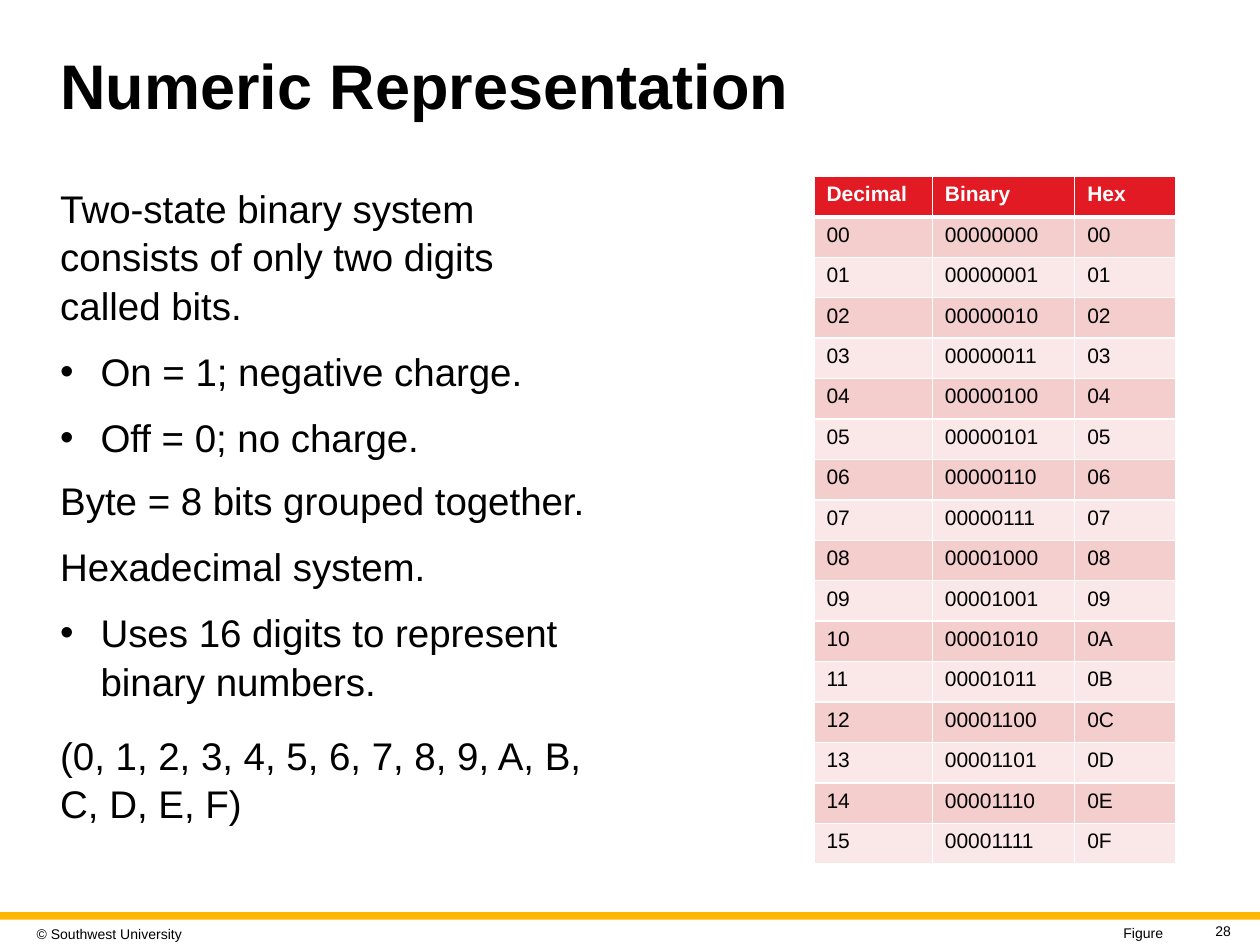
from lxml import etree
from pptx import Presentation
from pptx import util as u
from pptx.dml.color import RGBColor
from pptx.enum import shapes, text
from pptx.oxml.ns import qn

WIDTH, HEIGHT = 10, 7.5
LEFT, TOP, BODY_WIDTH = 0.38, 1.4, 4.46
BLACK, WHITE, RED, GOLD = "000000", "FFFFFF", "E21A23", "FFB600"
BANDS = ("F4CDCD", "FAE8E8")
COLUMN_WIDTHS = (0.94, 1.13, 0.8)
TABLE_HEIGHT = 5.46
BULLET_INDENT = 0.32
BODY_BLOCKS = [
    (1.4, 2.21, [
        ("Two-state binary system consists of only two digits called bits.", False),
        ("On = 1; negative charge.", True),
        ("Off = 0; no charge.", True),
    ]),
    (3.72, 1.91, [
        ("Byte = 8 bits grouped together.", False),
        ("Hexadecimal system.", False),
        ("Uses 16 digits to represent binary numbers.", True),
    ]),
    (5.74, 1.33, [("(0, 1, 2, 3, 4, 5, 6, 7, 8, 9, A, B, C, D, E, F)", False)]),
]


def color(hex_string):
    """Turn a hex string into a colour."""
    return RGBColor.from_string(hex_string)


def box(left, top, width, height):
    """Turn a box in inches into lengths."""
    return [u.Inches(value) for value in (left, top, width, height)]


def add_run(paragraph, wording, size, hex_string=BLACK, bold=False):
    """Add one formatted run to a paragraph."""
    run = paragraph.add_run()
    run.text = wording
    run.font.name = "Arial"
    run.font.size = u.Pt(size)
    run.font.bold = bold
    run.font.color.rgb = color(hex_string)


def add_bullet(paragraph):
    """Give a paragraph a hanging round bullet."""
    properties = paragraph._p.get_or_add_pPr()
    indent = u.Inches(BULLET_INDENT)
    properties.set("marL", str(indent))
    properties.set("indent", str(-indent))
    etree.SubElement(properties, qn("a:buFont")).set("typeface", "Arial")
    etree.SubElement(properties, qn("a:buChar")).set("char", "•")


def add_title(slide, wording):
    """Place and fill the title placeholder."""
    title = slide.shapes.title
    title.left, title.top, title.width, title.height = box(LEFT, 0.26, 9.25, 0.9)
    frame = title.text_frame
    frame.auto_size = text.MSO_AUTO_SIZE.NONE
    frame.vertical_anchor = text.MSO_ANCHOR.MIDDLE
    paragraph = frame.paragraphs[0]
    paragraph.alignment = text.PP_ALIGN.LEFT
    paragraph.line_spacing = 0.9
    add_run(paragraph, wording, 36, bold=True)


def add_body(slide, top, height, lines):
    """Add a block of plain and bulleted paragraphs."""
    frame = slide.shapes.add_textbox(*box(LEFT, top, BODY_WIDTH, height)).text_frame
    frame.word_wrap = True
    for index, (wording, bulleted) in enumerate(lines):
        paragraph = frame.add_paragraph() if index else frame.paragraphs[0]
        if bulleted:
            add_bullet(paragraph)
        paragraph.line_spacing = 1.05
        if index:
            paragraph.space_before = u.Pt(10)
        add_run(paragraph, wording, 22)


def add_footer_text(slide, wording, place, alignment, inset=0.05):
    """Add one small line of text to the footer."""
    frame = slide.shapes.add_textbox(*box(*place)).text_frame
    frame.word_wrap = True
    frame.vertical_anchor = text.MSO_ANCHOR.MIDDLE
    frame.margin_left = frame.margin_right = u.Inches(inset)
    paragraph = frame.paragraphs[0]
    paragraph.alignment = alignment
    add_run(paragraph, wording, 8)


def add_rule(slide):
    """Draw the gold rule above the footer."""
    rule = slide.shapes.add_shape(
        shapes.MSO_SHAPE.RECTANGLE, *box(0, 7.24, WIDTH, 0.06))
    rule.shadow.inherit = False
    rule.fill.solid()
    rule.fill.fore_color.rgb = color(GOLD)
    rule.line.fill.background()


def set_borders(cell, top, bottom):
    """Draw white borders around a cell."""
    properties = cell._tc.get_or_add_tcPr()
    for side, points in (("L", 1), ("R", 1), ("T", top), ("B", bottom)):
        border = etree.SubElement(properties, qn(f"a:ln{side}"))
        border.set("w", str(u.Pt(points)))
        fill = etree.SubElement(border, qn("a:solidFill"))
        etree.SubElement(fill, qn("a:srgbClr")).set("val", WHITE)


def add_number_table(slide):
    """Add the table of 0 to 15 in three number systems."""
    rows = [("Decimal", "Binary", "Hex")]
    rows += [(f"{n:02d}", f"{n:08b}", f"{n:02X}") for n in range(16)]
    table = slide.shapes.add_table(
        len(rows), len(COLUMN_WIDTHS),
        *box(6.46, TOP, sum(COLUMN_WIDTHS), TABLE_HEIGHT)).table
    for column, width in zip(table.columns, COLUMN_WIDTHS):
        column.width = u.Inches(width)
    for r, values in enumerate(rows):
        header = r == 0
        table.rows[r].height = u.Inches(TABLE_HEIGHT / len(rows))
        for c, value in enumerate(values):
            cell = table.cell(r, c)
            set_borders(cell, 3 if r == 1 else 1, 3 if header else 1)
            cell.fill.solid()
            cell.fill.fore_color.rgb = color(RED if header else BANDS[(r - 1) % 2])
            add_run(cell.text_frame.paragraphs[0], value, 12,
                    WHITE if header else BLACK, header)


def main():
    """Build and save the slide."""
    presentation = Presentation()
    presentation.slide_width = u.Inches(WIDTH)
    presentation.slide_height = u.Inches(HEIGHT)
    slide = presentation.slides.add_slide(presentation.slide_layouts[5])
    add_rule(slide)
    add_footer_text(slide, "© Southwest University", (0.24, 7.29, 1.35, 0.24),
                    text.PP_ALIGN.LEFT)
    add_title(slide, "Numeric Representation")
    for block in BODY_BLOCKS:
        add_body(slide, *block)
    add_number_table(slide)
    add_footer_text(slide, "Figure", (1.71, 7.31, 7.62, 0.19),
                    text.PP_ALIGN.RIGHT, 0.1)
    add_footer_text(slide, "28", (9.43, 7.3, 0.39, 0.18), text.PP_ALIGN.RIGHT)
    presentation.save("out.pptx")


if __name__ == "__main__":
    main()
